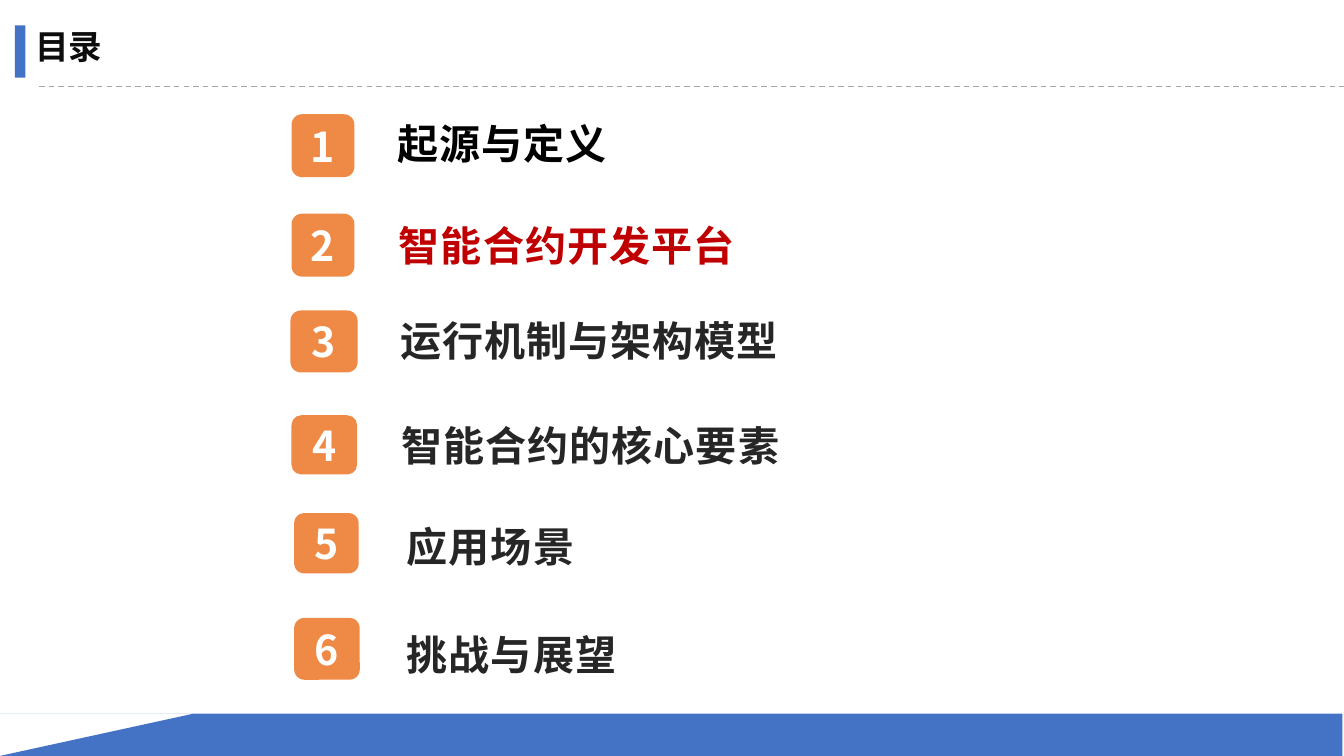
"""Build the contents slide of a smart contract lecture."""
from lxml.etree import SubElement
from pptx import Presentation
from pptx.dml.color import RGBColor as RGB
from pptx.enum.dml import MSO_LINE
from pptx.enum.shapes import MSO_CONNECTOR as CONN, MSO_SHAPE as SHAPE
from pptx.enum.text import MSO_ANCHOR as ANCHOR, MSO_AUTO_SIZE as FIT, PP_ALIGN as ALIGN
from pptx.oxml.ns import qn
from pptx.util import Cm, Pt

THEME = {
    "blue": "4472C4", "orange": "EF8A46", "rule": "A6A6A6", "white": "FFFFFF",
    "title": "0D0D0D", "black": "000000", "ink": "262626", "current": "C00000",
    "title_font": "Times New Roman", "font": "Noto Sans CJK SC",
    "title_size": 18, "size": 22, "spacing": 60,
}
WIDTH, HEIGHT = 25.4, 14.29
TITLE = ("目录", (0.41, 0.36, 24.18, 1.02))
TITLE_BAR = (0.28, 0.48, 0.2, 0.99)
RULE = (0.74, 1.63, WIDTH, 1.63)
BAND = [
    [(3.66, 13.49), (25.37, 13.49), (25.37, 14.3), (-0.05, 14.3)],
    [(-0.05, 13.49), (3.66, 13.49)],
]
LABEL_HEIGHT = 1.19
ITEMS = [
    ("起源与定义", "black", (5.51, 2.16, 1.19, 1.19), (7.26, 2.11, 13.59)),
    ("智能合约开发平台", "current", (5.51, 4.04, 1.19, 1.19), (7.29, 4.04, 12.7)),
    ("运行机制与架构模型", "ink", (5.49, 5.87, 1.27, 1.17), (7.32, 5.84, 13.56)),
    ("智能合约的核心要素", "ink", (5.51, 7.85, 1.24, 1.12), (7.34, 7.82, 12.62)),
    ("应用场景", "ink", (5.56, 9.7, 1.22, 1.14), (7.44, 9.73, 13.79)),
    ("挑战与展望", "ink", (5.56, 11.68, 1.24, 1.17), (7.44, 11.76, 13.79)),
]


def color(name):
    return RGB.from_string(THEME[name])


def cm(values):
    return [Cm(v) for v in values]


def write(sp, text, ink, size="size", font="font", align=ALIGN.LEFT, spacing=0):
    tf = sp.text_frame
    tf.word_wrap, tf.auto_size, tf.vertical_anchor = True, FIT.NONE, ANCHOR.MIDDLE
    p = tf.paragraphs[0]
    p.text, p.alignment = text, align
    p.font.size, p.font.bold, p.font.name = Pt(THEME[size]), True, THEME[font]
    p.font.color.rgb = color(ink)
    props = p._p.get_or_add_pPr().get_or_add_defRPr()
    props.set("spc", str(spacing))
    SubElement(props, qn("a:ea")).set("typeface", THEME["font"])


def paint(sp, fill):
    sp.shadow.inherit = False
    sp.fill.solid()
    sp.fill.fore_color.rgb = color(fill)
    sp.line.fill.background()


def add_header(slide):
    text, box = TITLE
    sp = slide.shapes.title
    sp.left, sp.top, sp.width, sp.height = cm(box)
    write(sp, text, "title", "title_size", "title_font")
    rule = slide.shapes.add_connector(CONN.STRAIGHT, *cm(RULE))
    rule.line.color.rgb, rule.line.width = color("rule"), Pt(0.75)
    rule.line.dash_style = MSO_LINE.DASH
    SubElement(rule._element.spPr, qn("a:effectLst"))
    paint(slide.shapes.add_shape(SHAPE.RECTANGLE, *cm(TITLE_BAR)), "blue")


def add_band(slide):
    outline, edge = [[cm(point) for point in contour] for contour in BAND]
    builder = slide.shapes.build_freeform(*outline[0])
    builder.add_line_segments(outline[1:])
    builder.move_to(*edge[0])
    builder.add_line_segments(edge[1:])
    paint(builder.convert_to_shape(), "blue")


def add_item(slide, number, text, ink, badge_box, label_box):
    badge = slide.shapes.add_shape(SHAPE.ROUNDED_RECTANGLE, *cm(badge_box))
    paint(badge, "orange")
    write(badge, str(number), "white", align=ALIGN.CENTER)
    label = slide.shapes.add_textbox(*cm(label_box), Cm(LABEL_HEIGHT))
    write(label, text, ink, spacing=THEME["spacing"])


def main():
    prs = Presentation()
    prs.slide_width, prs.slide_height = Cm(WIDTH), Cm(HEIGHT)
    slide = prs.slides.add_slide(prs.slide_layouts[5])
    add_header(slide)
    add_band(slide)
    for number, item in enumerate(ITEMS, 1):
        add_item(slide, number, *item)
    prs.save("out.pptx")


if __name__ == "__main__":
    main()
